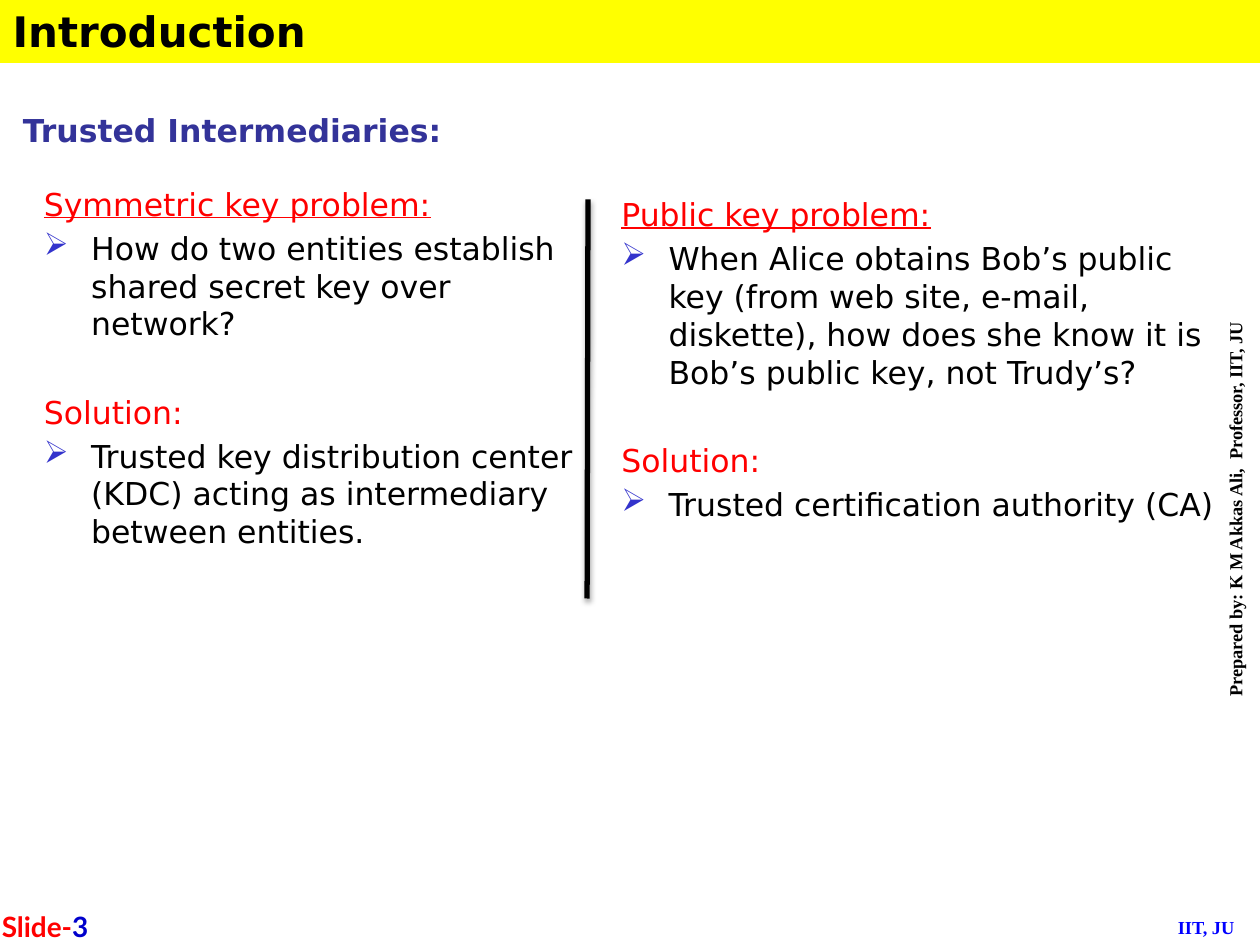
from lxml import etree
from pptx import Presentation
from pptx.dml.color import RGBColor
from pptx.enum.shapes import MSO_CONNECTOR
from pptx.enum.text import MSO_ANCHOR, PP_ALIGN
from pptx.oxml.ns import qn
from pptx.util import Pt

STRAIGHT = MSO_CONNECTOR.STRAIGHT
TOP = MSO_ANCHOR.TOP
LEFT, CENTER = PP_ALIGN.LEFT, PP_ALIGN.CENTER
SANS, SERIF, NUMBER_FONT = "DejaVu Sans", "Times New Roman", "Lato"
BLACK, RED, YELLOW, NAVY = "000000", "FF0000", "FFFF00", "333399"
BULLET, BULLET_BLUE = "➢", "3333CC"
INDENT = 27
GAP, SECTION_GAP = 3.6, 28.8

TITLE = "Introduction"
SUBTITLE = "Trusted Intermediaries:"
AUTHOR = "Prepared by: K M Akkas Ali,  Professor, IIT, JU"
INSTITUTE = "IIT, JU"
SLIDE_NUMBER = [("Slide-", RED), ("3", "0000CC")]

# Box (left, top, width, height), then (heading, underlined, bulleted answer)
COLUMNS = [
    ((18, 102, 318, 198), [
        ("Symmetric key problem:", True,
         "How do two entities establish shared secret key over network?"),
        ("Solution:", False,
         "Trusted key distribution center (KDC) acting as intermediary "
         "between entities."),
    ]),
    ((348, 108, 360, 222), [
        ("Public key problem:", True,
         "When Alice obtains Bob’s public key (from web site, e-mail, "
         "diskette), how does she know it is Bob’s public key, not Trudy’s?"),
        ("Solution:", False, "Trusted certification authority (CA)"),
    ]),
]


def color(hex_code):
    return RGBColor.from_string(hex_code)


def set_font(font, name, size, hex_code, bold=False):
    font.name, font.size, font.bold = name, Pt(size), bold
    font.color.rgb = color(hex_code)


def add_box(slide, box):
    frame = slide.shapes.add_textbox(*map(Pt, box)).text_frame
    frame.word_wrap = True
    return frame


def add_label(slide, box, text, name, size, hex_code):
    frame = add_box(slide, box)
    frame.text = text
    set_font(frame.paragraphs[0].font, name, size, hex_code, bold=True)
    return frame


def add_bullet(paragraph):
    props = paragraph._p.get_or_add_pPr()
    props.set("marL", str(Pt(INDENT)))
    props.set("indent", str(-Pt(INDENT)))
    bullet_color = etree.SubElement(props, qn("a:buClr"))
    etree.SubElement(bullet_color, qn("a:srgbClr"), val=BULLET_BLUE)
    etree.SubElement(props, qn("a:buChar"), char=BULLET)


def add_column(slide, box, sections):
    frame = add_box(slide, box)
    for i, (heading_text, underlined, answer_text) in enumerate(sections):
        heading = frame.add_paragraph() if i else frame.paragraphs[0]
        heading.text = heading_text
        if i:
            heading.space_before = Pt(SECTION_GAP)
        set_font(heading.font, SANS, 18, RED)
        heading.font.underline = underlined

        answer = frame.add_paragraph()
        answer.text = answer_text
        answer.space_before = Pt(GAP)
        add_bullet(answer)
        set_font(answer.font, SANS, 18, BLACK)


def add_divider(slide):
    divider = slide.shapes.add_connector(
        STRAIGHT, Pt(336), Pt(114), Pt(335.5), Pt(342))
    divider.line.width = Pt(3)
    divider.line.color.rgb = color(BLACK)
    effects = etree.SubElement(divider._element.spPr, qn("a:effectLst"))
    shadow = etree.SubElement(
        effects, qn("a:outerShdw"), blurRad=str(Pt(3.1)), dist=str(Pt(1.8)),
        dir="5400000", rotWithShape="0")
    shade = etree.SubElement(shadow, qn("a:srgbClr"), val=BLACK)
    etree.SubElement(shade, qn("a:alpha"), val="35000")


def add_title(slide):
    title = slide.shapes.title
    title.left, title.top, title.width, title.height = map(
        Pt, (0, -0.5, 720, 36.5))
    title.fill.solid()
    title.fill.fore_color.rgb = color(YELLOW)
    frame = title.text_frame
    frame.text = TITLE
    frame.vertical_anchor = TOP
    frame.paragraphs[0].alignment = LEFT
    set_font(frame.paragraphs[0].font, SANS, 24, BLACK, bold=True)


def main():
    deck = Presentation()
    deck.slide_width, deck.slide_height = Pt(720), Pt(540)
    slide = deck.slides.add_slide(deck.slide_layouts[5])

    add_title(slide)
    add_label(slide, (666, 520, 66, 21), INSTITUTE, SERIF, 10.5, "0000FF")
    author = add_label(slide, (696, 42, 27.5, 498), AUTHOR, SERIF, 10.5, BLACK)
    author.paragraphs[0].alignment = CENTER
    author._txBody.bodyPr.set("vert", "vert270")
    add_label(slide, (6, 60, 324, 36), SUBTITLE, SANS, 18, NAVY)

    for box, sections in COLUMNS:
        add_column(slide, box, sections)
    add_divider(slide)

    number = add_box(slide, (-6, 516, 150, 36)).paragraphs[0]
    for text, hex_code in SLIDE_NUMBER:
        run = number.add_run()
        run.text = text
        set_font(run.font, NUMBER_FONT, 16, hex_code, bold=True)

    deck.save("out.pptx")


if __name__ == "__main__":
    main()
